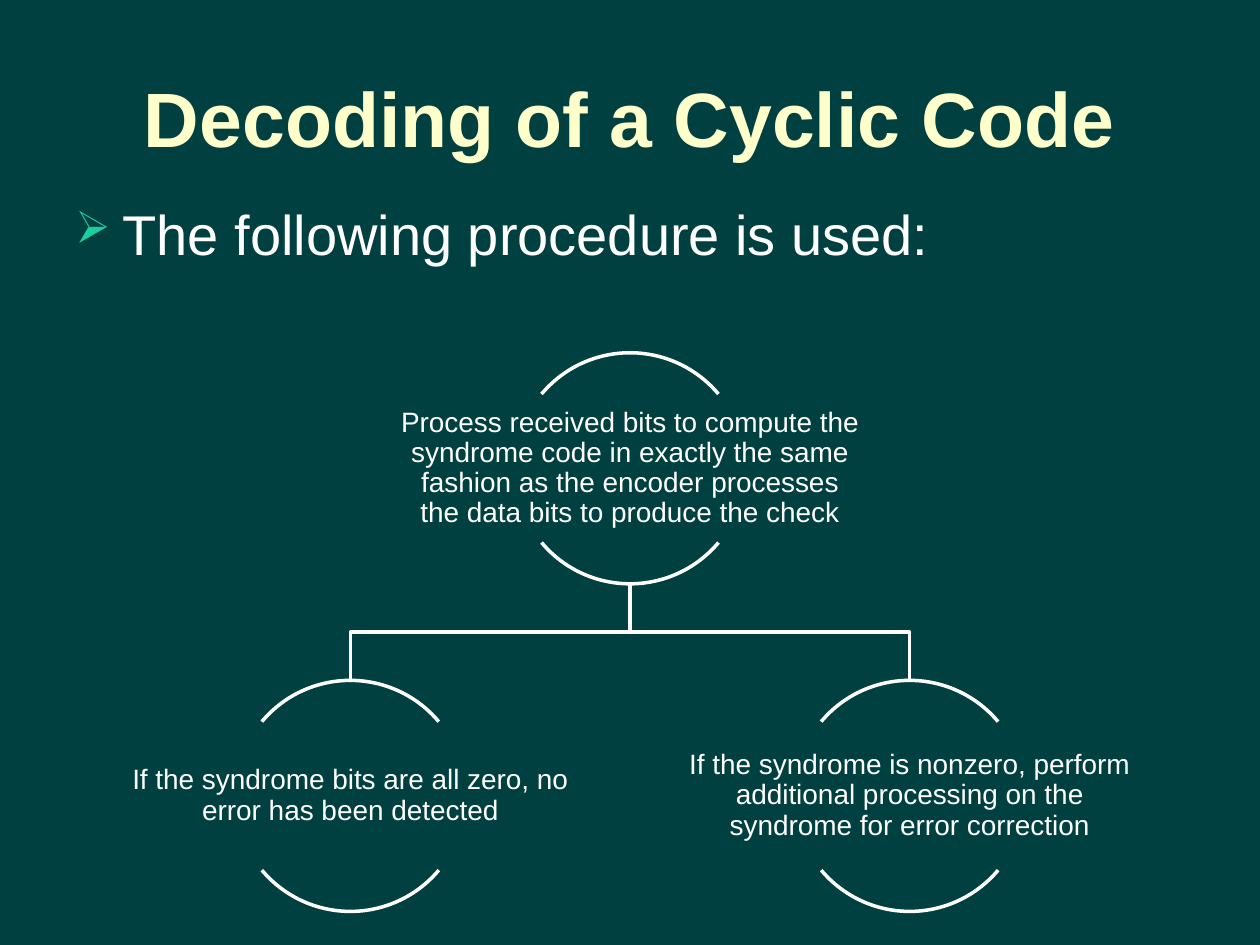
from dataclasses import dataclass

import pptx
import pptx.dml.color
import pptx.enum.shapes
import pptx.enum.text
import pptx.oxml
import pptx.util
from pptx.util import Pt

FONT = "Arial"
WHITE = "FFFFFF"
CREAM = "FFFFCC"
GREEN = "1ACE9F"
TEAL = "004040"
DIAMETER = 132
LABEL_W, LABEL_H = 264, 84
ARC_ANGLES = ((132, 192), (24, 84))
CENTER = 360
SPREAD = 159.8
ROOT_TOP, CHILD_TOP = 201.6, 388.8


@dataclass
class Node:
    cx: float
    top: float
    text: str


ROOT = Node(CENTER, ROOT_TOP,
            "Process received bits to compute the syndrome code in exactly the same "
            "fashion as the encoder processes the data bits to produce the check")
CHILDREN = [
    Node(CENTER - SPREAD, CHILD_TOP,
         "If the syndrome bits are all zero, no error has been detected"),
    Node(CENTER + SPREAD, CHILD_TOP,
         "If the syndrome is nonzero, perform additional processing on the "
         "syndrome for error correction"),
]


def rgb(color: str) -> pptx.dml.color.RGBColor:
    return pptx.dml.color.RGBColor.from_string(color)


def set_font(p, size: float, color: str, bold: bool = False) -> None:
    p.font.name = FONT
    p.font.size = Pt(size)
    p.font.bold = bold
    p.font.color.rgb = rgb(color)


def set_outline(sp) -> None:
    sp.shadow.inherit = False
    sp.fill.background()
    sp.line.color.rgb = rgb(WHITE)
    sp.line.width = Pt(2)


def add_title(s, text: str) -> None:
    sp = s.shapes.title
    sp.left, sp.top, sp.width, sp.height = Pt(36), Pt(21.6), Pt(648), Pt(90)
    tf = sp.text_frame
    tf.text = text
    tf.auto_size = pptx.enum.text.MSO_AUTO_SIZE.NONE
    tf.vertical_anchor = pptx.enum.text.MSO_ANCHOR.MIDDLE
    p = tf.paragraphs[0]
    p.alignment = pptx.enum.text.PP_ALIGN.CENTER
    set_font(p, 44, CREAM, bold=True)


def add_bullet(s, text: str) -> None:
    tf = s.shapes.add_textbox(Pt(36), Pt(110.2), Pt(648), Pt(55.4)).text_frame
    tf.word_wrap = True
    p = tf.paragraphs[0]
    p.text = text
    p.space_before = Pt(4)
    set_font(p, 32, WHITE)
    pPr = p._p.get_or_add_pPr()
    pPr.set("marL", str(Pt(27)))
    pPr.set("indent", str(-Pt(27)))
    ns = 'xmlns:a="http://schemas.openxmlformats.org/drawingml/2006/main"'
    bullet = (f'<a:buClr {ns}><a:srgbClr val="{GREEN}"/></a:buClr>',
              f'<a:buSzPct {ns} val="80000"/>',
              f'<a:buChar {ns} char="➢"/>')
    at = list(pPr).index(pPr.find(pptx.oxml.ns.qn("a:defRPr")))
    for i, xml in enumerate(bullet):
        pPr.insert(at + i, pptx.oxml.parse_xml(xml))


def add_branch(s, parent: Node, child: Node) -> None:
    start = parent.top + DIAMETER
    mid = (start + child.top) / 2
    fb = s.shapes.build_freeform(Pt(parent.cx), Pt(start))
    fb.add_line_segments([(Pt(parent.cx), Pt(mid)), (Pt(child.cx), Pt(mid)),
                          (Pt(child.cx), Pt(child.top))], close=False)
    set_outline(fb.convert_to_shape())


def add_node(s, node: Node) -> None:
    for angles in ARC_ANGLES:
        sp = s.shapes.add_shape(pptx.enum.shapes.MSO_SHAPE.ARC,
                                Pt(node.cx - DIAMETER / 2), Pt(node.top),
                                Pt(DIAMETER), Pt(DIAMETER))
        sp.adjustments[0], sp.adjustments[1] = angles
        set_outline(sp)
    tf = s.shapes.add_textbox(Pt(node.cx - LABEL_W / 2),
                              Pt(node.top + (DIAMETER - LABEL_H) / 2),
                              Pt(LABEL_W), Pt(LABEL_H)).text_frame
    tf.word_wrap = True
    tf.vertical_anchor = pptx.enum.text.MSO_ANCHOR.MIDDLE
    tf.margin_left = tf.margin_right = tf.margin_top = tf.margin_bottom = Pt(0.8)
    p = tf.paragraphs[0]
    p.text = node.text
    p.alignment = pptx.enum.text.PP_ALIGN.CENTER
    p.line_spacing = 0.9
    p.space_after = Pt(5.6)
    set_font(p, 16, WHITE)


def main() -> None:
    prs = pptx.Presentation()
    prs.slide_width, prs.slide_height = Pt(720), Pt(540)
    s = prs.slides.add_slide(prs.slide_layouts[5])
    s.background.fill.solid()
    s.background.fill.fore_color.rgb = rgb(TEAL)
    add_title(s, "Decoding of a Cyclic Code")
    add_bullet(s, "The following procedure is used:")
    for child in reversed(CHILDREN):
        add_branch(s, ROOT, child)
    for node in [ROOT, *CHILDREN]:
        add_node(s, node)
    prs.save("out.pptx")


if __name__ == "__main__":
    main()
